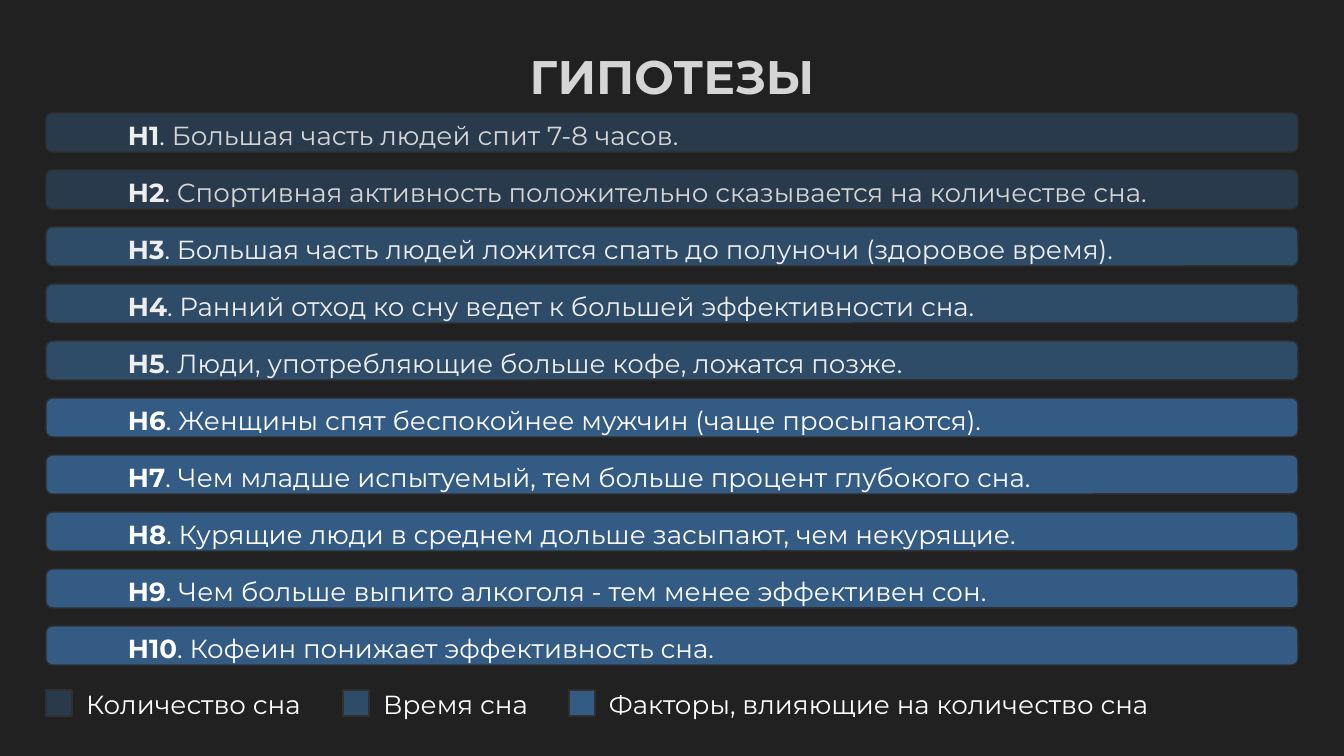
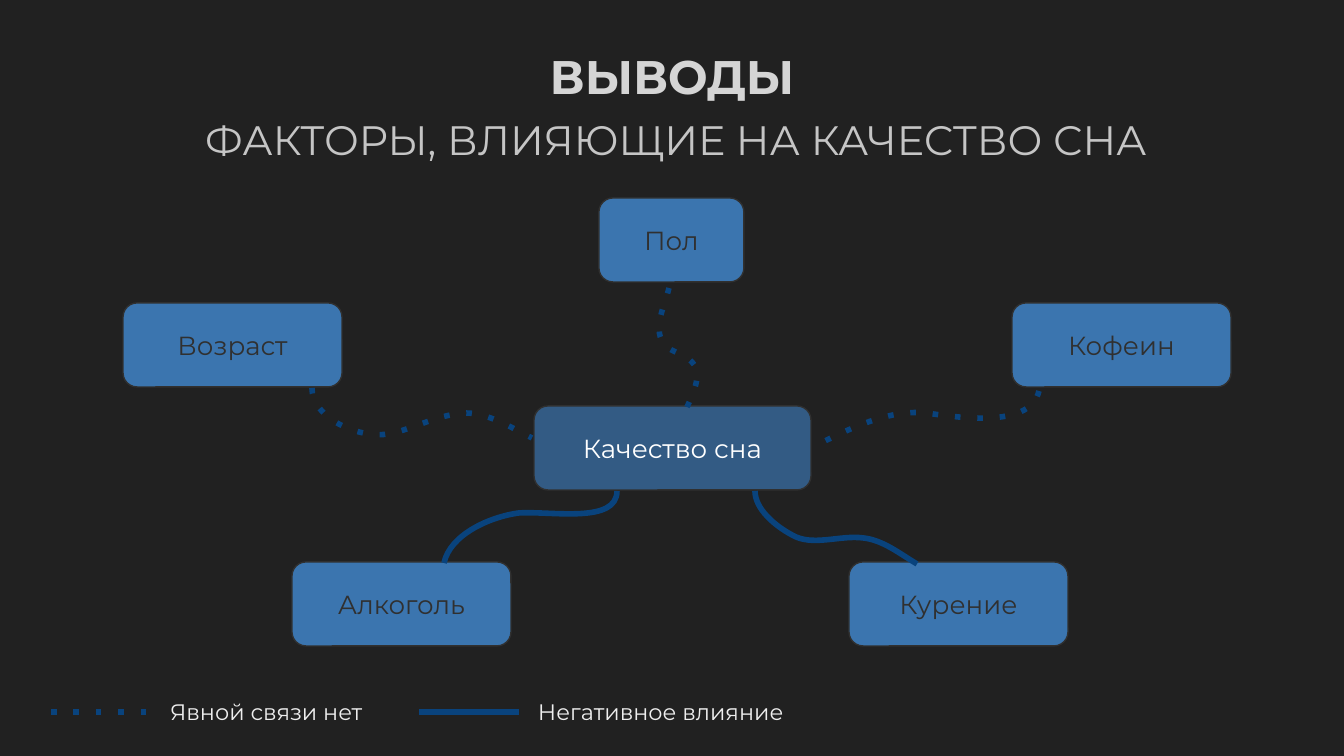
from dataclasses import dataclass
from lxml.etree import SubElement
from pptx import Presentation
from pptx.dml.color import RGBColor
from pptx.enum.shapes import MSO_CONNECTOR, MSO_SHAPE
from pptx.enum.text import MSO_ANCHOR, MSO_AUTO_SIZE, PP_ALIGN
from pptx.oxml.ns import qn
from pptx.util import Emu, Pt


@dataclass(frozen=True)
class Theme:
    font: str = "Montserrat"
    background: str = "212121"
    accent: str = "3B75AF"
    outline: str = "303030"
    link: str = "09437D"
    title: str = "D5D5D5"
    subtitle: str = "C5C5C5"
    muted: str = "D5D5D5"
    light: str = "EEEEEE"
    white: str = "FFFFFF"
    title_size: float = 25.2
    subtitle_size: float = 22
    body_size: float = 14
    caption_size: float = 12
    outline_width: float = 0.75
    link_width: float = 3
    corner: float = 0.167


THEME = Theme()
EMU_PER_PX = 914400 / 134.4
SLIDE_SIZE = (1344, 756)
INSET = 13
TITLE_BOX = (46, 34, 1252, 84)
SUBTITLE_BOX = (66, 101, 1220, 84)

HYPOTHESIS_GROUPS = [
    {
        "label": "Количество сна", "opacity": 30,
        "strong": THEME.light, "plain": THEME.muted,
        "legend_left": 46, "label_width": 250,
        "items": [
            "Большая часть людей спит 7-8 часов.",
            "Спортивная активность положительно сказывается на количестве сна.",
        ],
    },
    {
        "label": "Время сна", "opacity": 50,
        "strong": THEME.light, "plain": THEME.light,
        "legend_left": 343, "label_width": 173,
        "items": [
            "Большая часть людей ложится спать до полуночи (здоровое время).",
            "Ранний отход ко сну ведет к большей эффективности сна.",
            "Люди, употребляющие больше кофе, ложатся позже.",
        ],
    },
    {
        "label": "Факторы, влияющие на количество сна", "opacity": 70,
        "strong": THEME.white, "plain": THEME.white,
        "legend_left": 569, "label_width": 610,
        "items": [
            "Женщины спят беспокойнее мужчин (чаще просыпаются).",
            "Чем младше испытуемый, тем больше процент глубокого сна.",
            "Курящие люди в среднем дольше засыпают, чем некурящие.",
            "Чем больше выпито алкоголя - тем менее эффективен сон.",
            "Кофеин понижает эффективность сна.",
        ],
    },
]
BAR_LEFT, BAR_TOP, BAR_WIDTH, BAR_HEIGHT, BAR_PITCH = 46, 113, 1252, 39, 57
BAR_INDENT = 67
SWATCH_TOP, SWATCH_SIZE, SWATCH_LABEL_TOP, SWATCH_LABEL_HEIGHT = 690, 26, 675, 59

NODE_HEIGHT = 84
NODES = [
    ("Качество сна", 534, 406, 277, 70, THEME.white),
    ("Возраст", 123, 303, 219, 100, THEME.outline),
    ("Пол", 599, 198, 145, 100, THEME.outline),
    ("Кофеин", 1012, 303, 219, 100, THEME.outline),
    ("Алкоголь", 292, 562, 219, 100, THEME.outline),
    ("Курение", 849, 562, 219, 100, THEME.outline),
]
CURVES = [
    (True, [(669, 288), (665, 305), (653, 327), (663, 343), (669, 352),
            (684, 353), (692, 362), (703, 372), (694, 392), (687, 407)]),
    (True, [(312, 388), (312, 418), (359, 439), (388, 434), (411, 430),
            (433, 417), (457, 414), (482, 409), (508, 426), (532, 438)]),
    (True, [(1039, 391), (1031, 426), (969, 419), (933, 414), (894, 407),
            (853, 427), (817, 445)]),
    (False, [(444, 563), (450, 535), (489, 517), (519, 513), (552, 511),
             (617, 524), (617, 491)]),
    (False, [(917, 564), (900, 554), (883, 540), (863, 538), (840, 535),
             (812, 547), (792, 535), (775, 526), (755, 509), (755, 491)]),
]
LINK_LEGEND = [
    ("Явной связи нет", 51, 219, True),
    ("Негативное влияние", 419, 285, False),
]
LINK_Y, LINK_LENGTH, LINK_LABEL_GAP = 712, 100, 6
LINK_LABEL_TOP, LINK_LABEL_HEIGHT = 685, 54


def px(length):
    return Emu(round(length * EMU_PER_PX))


def rgb(color):
    return RGBColor.from_string(color)


def write(shape, runs, size, align=PP_ALIGN.LEFT, anchor=MSO_ANCHOR.TOP):
    frame = shape.text_frame
    frame.word_wrap = True
    frame.vertical_anchor = anchor
    frame.margin_left = frame.margin_right = px(INSET)
    frame.margin_top = frame.margin_bottom = px(INSET)
    paragraph = frame.paragraphs[0]
    paragraph.alignment = align
    for text, color, bold in runs:
        run = paragraph.add_run()
        run.text = text
        run.font.name = THEME.font
        run.font.size = Pt(size)
        run.font.bold = bold
        run.font.color.rgb = rgb(color)
    return paragraph


def add_text(shapes, box, text, size, color, bold=False, align=PP_ALIGN.LEFT, grow=False):
    textbox = shapes.add_textbox(*map(px, box))
    write(textbox, [(text, color, bold)], size, align)
    if grow:
        textbox.text_frame.auto_size = MSO_AUTO_SIZE.SHAPE_TO_FIT_TEXT


def add_panel(shapes, kind, box, opacity):
    shape = shapes.add_shape(kind, *map(px, box))
    shape.shadow.inherit = False
    shape.fill.solid()
    shape.fill.fore_color.rgb = rgb(THEME.accent)
    if opacity < 100:
        color = shape._element.spPr.find(qn("a:solidFill")).find(qn("a:srgbClr"))
        SubElement(color, qn("a:alpha"), val=str(opacity * 1000))
    shape.line.color.rgb = rgb(THEME.outline)
    shape.line.width = Pt(THEME.outline_width)
    if kind == MSO_SHAPE.ROUNDED_RECTANGLE:
        shape.adjustments[0] = THEME.corner
    return shape


def style_link(link, dotted):
    link.line.color.rgb = rgb(THEME.link)
    link.line.width = Pt(THEME.link_width)
    properties = link._element.spPr
    if dotted:
        SubElement(properties.find(qn("a:ln")), qn("a:prstDash"), val="dot")
    SubElement(properties, qn("a:effectLst"))


def add_curve(shapes, points, dotted):
    builder = shapes.build_freeform(*points[0], scale=EMU_PER_PX)
    builder.add_line_segments(points[1:], close=False)
    curve = builder.convert_to_shape()
    curve.fill.background()
    outline = next(curve._element.iter(qn("a:path")))
    segments = outline.findall(qn("a:lnTo"))
    for start in range(0, len(segments), 3):
        cubic = SubElement(outline, qn("a:cubicBezTo"))
        for segment in segments[start:start + 3]:
            cubic.append(segment[0])
            outline.remove(segment)
    style_link(curve, dotted)


def add_titled_slide(presentation, title):
    slide = presentation.slides.add_slide(presentation.slide_layouts[6])
    slide.background.fill.solid()
    slide.background.fill.fore_color.rgb = rgb(THEME.background)
    add_text(slide.shapes, TITLE_BOX, title, THEME.title_size, THEME.title,
             bold=True, align=PP_ALIGN.CENTER)
    return slide


def build_hypotheses(presentation):
    shapes = add_titled_slide(presentation, "ГИПОТЕЗЫ").shapes
    rows = [(group, item) for group in HYPOTHESIS_GROUPS for item in group["items"]]
    for index, (group, item) in enumerate(rows):
        box = (BAR_LEFT, BAR_TOP + index * BAR_PITCH, BAR_WIDTH, BAR_HEIGHT)
        bar = add_panel(shapes, MSO_SHAPE.ROUNDED_RECTANGLE, box, group["opacity"])
        runs = [
            (f"H{index + 1}", group["strong"], True),
            (". ", group["strong"], False),
            (item, group["plain"], False),
        ]
        paragraph = write(bar, runs, THEME.body_size, anchor=MSO_ANCHOR.MIDDLE)
        paragraph.line_spacing = 1.15
        paragraph.space_before = Pt(6)
        paragraph.space_after = Pt(5)
        paragraph._p.get_or_add_pPr().set("marL", str(px(BAR_INDENT)))
        paragraph._p.get_or_add_pPr().set("indent", "0")
    for group in HYPOTHESIS_GROUPS:
        left = group["legend_left"]
        swatch = (left, SWATCH_TOP, SWATCH_SIZE, SWATCH_SIZE)
        add_panel(shapes, MSO_SHAPE.RECTANGLE, swatch, group["opacity"])
        label = (left + SWATCH_SIZE + 1, SWATCH_LABEL_TOP,
                 group["label_width"], SWATCH_LABEL_HEIGHT)
        add_text(shapes, label, group["label"], THEME.body_size, THEME.white, grow=True)


def build_conclusions(presentation):
    shapes = add_titled_slide(presentation, "ВЫВОДЫ").shapes
    add_text(shapes, SUBTITLE_BOX, "ФАКТОРЫ, ВЛИЯЮЩИЕ НА КАЧЕСТВО СНА",
             THEME.subtitle_size, THEME.subtitle, align=PP_ALIGN.CENTER)
    for name, left, top, width, opacity, color in NODES:
        box = (left, top, width, NODE_HEIGHT)
        node = add_panel(shapes, MSO_SHAPE.ROUNDED_RECTANGLE, box, opacity)
        write(node, [(name, color, False)], THEME.body_size,
              PP_ALIGN.CENTER, MSO_ANCHOR.MIDDLE)
    for dotted, points in CURVES:
        add_curve(shapes, points, dotted)
    for label, left, width, dotted in LINK_LEGEND:
        entry = shapes.add_group_shape().shapes
        right = left + LINK_LENGTH
        ends = map(px, (left, LINK_Y, right, LINK_Y))
        style_link(entry.add_connector(MSO_CONNECTOR.STRAIGHT, *ends), dotted)
        box = (right + LINK_LABEL_GAP, LINK_LABEL_TOP, width, LINK_LABEL_HEIGHT)
        add_text(entry, box, label, THEME.caption_size, THEME.light, grow=True)


def main():
    presentation = Presentation()
    presentation.slide_width, presentation.slide_height = map(px, SLIDE_SIZE)
    build_hypotheses(presentation)
    build_conclusions(presentation)
    presentation.save("out.pptx")


if __name__ == "__main__":
    main()
